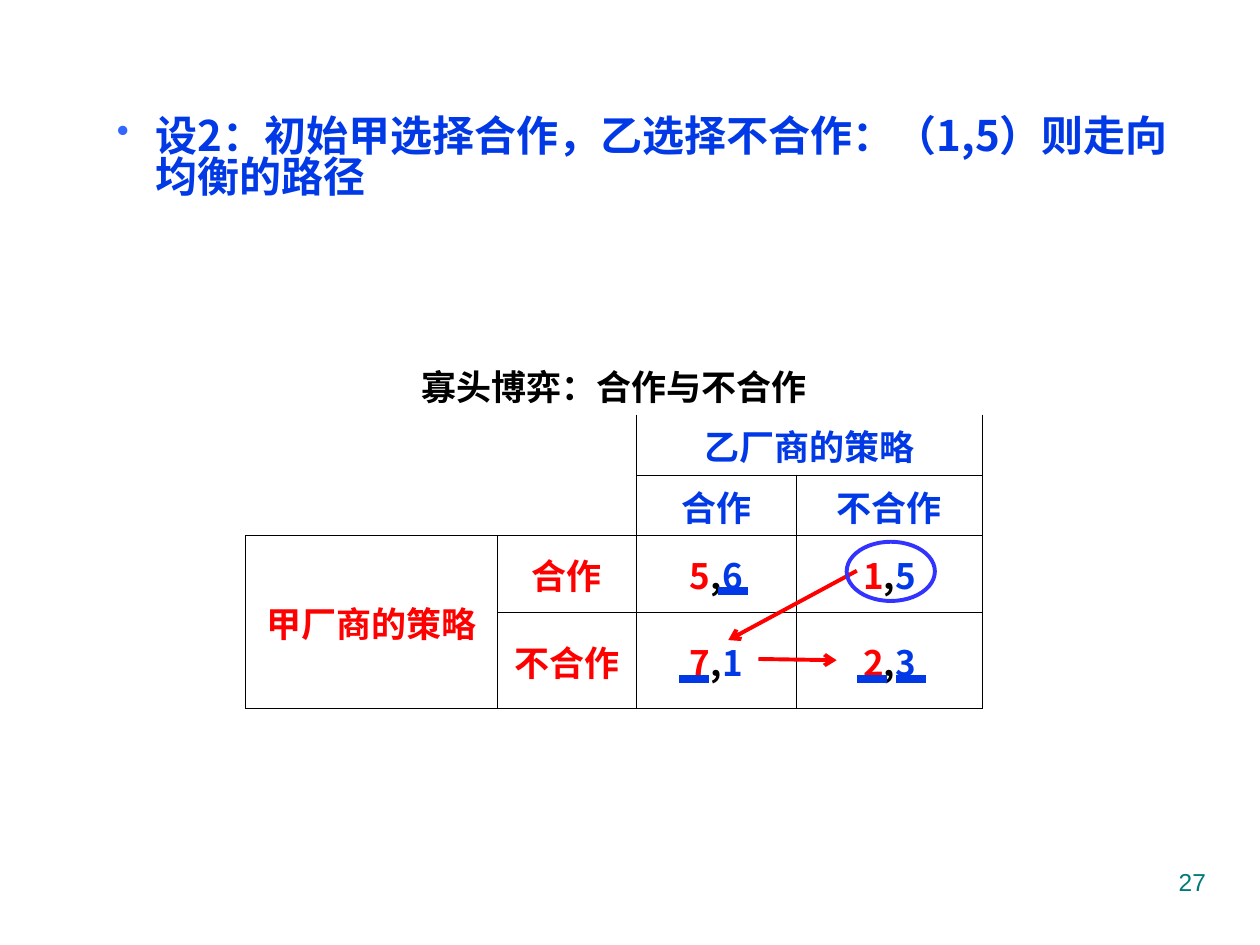
from lxml import etree
from pptx import Presentation
from pptx.dml.color import RGBColor
from pptx.enum.shapes import MSO_CONNECTOR, MSO_SHAPE
from pptx.enum.text import MSO_ANCHOR, PP_ALIGN
from pptx.oxml.ns import qn
from pptx.util import Inches, Pt

STRAIGHT = MSO_CONNECTOR.STRAIGHT
OVAL = MSO_SHAPE.OVAL
MIDDLE = MSO_ANCHOR.MIDDLE
CENTER, RIGHT = PP_ALIGN.CENTER, PP_ALIGN.RIGHT

BLACK = RGBColor(0x00, 0x00, 0x00)
BLUE = RGBColor(0x00, 0x39, 0xE5)
RED = RGBColor(0xFF, 0x00, 0x00)
RING_BLUE = RGBColor(0x33, 0x33, 0xFF)
TEAL = RGBColor(0x00, 0x7A, 0x77)

CJK_FONT = "Noto Sans CJK SC"
COLUMN_WIDTHS = [2, 1.1, 1.27, 1.48]
ROW_HEIGHTS = [0.48, 0.48, 0.48, 0.61, 0.76]
MERGES = [((0, 0), (0, 3)), ((1, 2), (1, 3)), ((3, 0), (4, 0))]
LABELS = {
    (0, 0): ("寡头博弈：合作与不合作", BLACK),
    (1, 2): ("乙厂商的策略", BLUE),
    (2, 2): ("合作", BLUE),
    (2, 3): ("不合作", BLUE),
    (3, 0): ("甲厂商的策略", RED),
    (3, 1): ("合作", RED),
    (4, 1): ("不合作", RED),
}
PAYOFFS = {(3, 2): "56", (3, 3): "15", (4, 2): "71", (4, 3): "23"}
BEST_RESPONSES = [(5.39, 5.39), (6.8, 5.39), (5.7, 4.69), (7.11, 5.39)]
MARK_LENGTH = 0.24
PATH_STEPS = [((6.8, 4.53), (5.78, 5.08)), ((6.02, 5.23), (6.64, 5.24))]


def add_run(paragraph, text, size, color, font=CJK_FONT, bold=True):
    run = paragraph.add_run()
    run.text = text
    formats = {"name": font, "size": Pt(size), "bold": bold}
    for attribute, value in formats.items():
        setattr(run.font, attribute, value)
    run.font.color.rgb = color
    etree.SubElement(run._r.get_or_add_rPr(), qn("a:ea"), typeface=font)


def add_text_box(slide, left, top, width, height):
    frame = slide.shapes.add_textbox(
        Inches(left), Inches(top), Inches(width), Inches(height)).text_frame
    frame.word_wrap = True
    return frame


def add_heading(slide):
    frame = add_text_box(slide, 0.33, 0.86, 9.34, 2.11)
    frame.margin_top = Inches(0.08)
    paragraph = frame.paragraphs[0]
    paragraph.line_spacing = 0.82
    properties = paragraph._p.get_or_add_pPr()
    properties.set("marL", str(Inches(0.81)))
    properties.set("indent", str(Inches(-0.31)))
    bullet_color = etree.SubElement(properties, qn("a:buClr"))
    etree.SubElement(bullet_color, qn("a:srgbClr"), val="3366FF")
    etree.SubElement(properties, qn("a:buSzPct"), val="85000")
    etree.SubElement(properties, qn("a:buChar"), char="•")
    add_run(paragraph, "设2：初始甲选择合作，乙选择不合作：（1,5）则走向均衡的路径", 24, BLUE)


def is_ruled(row, column):
    """Tell whether a cell belongs to the framed part of the matrix."""
    in_table = row < len(ROW_HEIGHTS) and 0 <= column < len(COLUMN_WIDTHS)
    return in_table and row >= 1 and (column >= 2 or row >= 3)


def set_borders(cell, row, column):
    """Rule each side that touches a framed cell, leaving the title open."""
    neighbours = {"a:lnL": (row, column - 1), "a:lnR": (row, column + 1),
                  "a:lnT": (row - 1, column), "a:lnB": (row + 1, column)}
    open_side = {0: "a:lnB", 1: "a:lnT"}.get(row)
    properties = cell._tc.get_or_add_tcPr()
    for side, neighbour in neighbours.items():
        border = etree.SubElement(properties, qn(side), w=str(Pt(0.5)))
        ruled = is_ruled(row, column) or is_ruled(*neighbour)
        if ruled and side != open_side:
            fill = etree.SubElement(border, qn("a:solidFill"))
            etree.SubElement(fill, qn("a:srgbClr"), val=str(BLACK))
        else:
            etree.SubElement(border, qn("a:noFill"))


def format_cell(cell, row, column):
    formats = {"margin_left": Inches(0.01), "margin_right": Inches(0.01),
               "margin_top": Inches(0.01), "margin_bottom": 0,
               "vertical_anchor": MIDDLE}
    for attribute, value in formats.items():
        setattr(cell, attribute, value)
    set_borders(cell, row, column)
    cell.fill.background()


def add_payoff_matrix(slide):
    table = slide.shapes.add_table(
        len(ROW_HEIGHTS), len(COLUMN_WIDTHS), Inches(1.95), Inches(2.81),
        Inches(sum(COLUMN_WIDTHS)), Inches(sum(ROW_HEIGHTS))).table
    table.first_row = table.horz_banding = False
    for column, width in enumerate(COLUMN_WIDTHS):
        table.columns[column].width = Inches(width)
    for row, height in enumerate(ROW_HEIGHTS):
        table.rows[row].height = Inches(height)
        for column in range(len(COLUMN_WIDTHS)):
            format_cell(table.cell(row, column), row, column)
    for first, last in MERGES:
        table.cell(*first).merge(table.cell(*last))

    contents = {position: [label] for position, label in LABELS.items()}
    for position, (first_firm, second_firm) in PAYOFFS.items():
        contents[position] = [(first_firm, RED), (",", BLACK), (second_firm, BLUE)]
    for position, parts in contents.items():
        paragraph = table.cell(*position).text_frame.paragraphs[0]
        paragraph.alignment = CENTER
        for text, color in parts:
            add_run(paragraph, text, 20, color)


def add_line(slide, start, end, color, width, arrow=False):
    connector = slide.shapes.add_connector(
        STRAIGHT, *(Inches(value) for value in (*start, *end)))
    connector.line.color.rgb = color
    connector.line.width = Pt(width)
    if arrow:
        etree.SubElement(connector.line._get_or_add_ln(), qn("a:tailEnd"), type="arrow")
    etree.SubElement(connector._element.spPr, qn("a:effectLst"))


def add_starting_point_ring(slide):
    ring = slide.shapes.add_shape(
        OVAL, Inches(6.72), Inches(4.3), Inches(0.7), Inches(0.47))
    ring.shadow.inherit = False
    ring.fill.background()
    ring.line.color.rgb = RING_BLUE
    ring.line.width = Pt(2.25)


def add_page_number(slide):
    paragraph = add_text_box(slide, 7.17, 6.83, 2.5, 0.52).paragraphs[0]
    paragraph.alignment = RIGHT
    add_run(paragraph, "27", 14, TEAL, font="Arial", bold=False)


def main():
    presentation = Presentation()
    presentation.slide_width = Inches(10)
    presentation.slide_height = Inches(7.5)
    slide = presentation.slides.add_slide(presentation.slide_layouts[6])

    add_payoff_matrix(slide)
    for left, top in BEST_RESPONSES:
        add_line(slide, (left, top), (left + MARK_LENGTH, top), BLUE, 4.5)
    add_heading(slide)
    for start, end in PATH_STEPS:
        add_line(slide, start, end, RED, 2.25, arrow=True)
    add_starting_point_ring(slide)
    add_page_number(slide)
    presentation.save("out.pptx")


if __name__ == "__main__":
    main()
